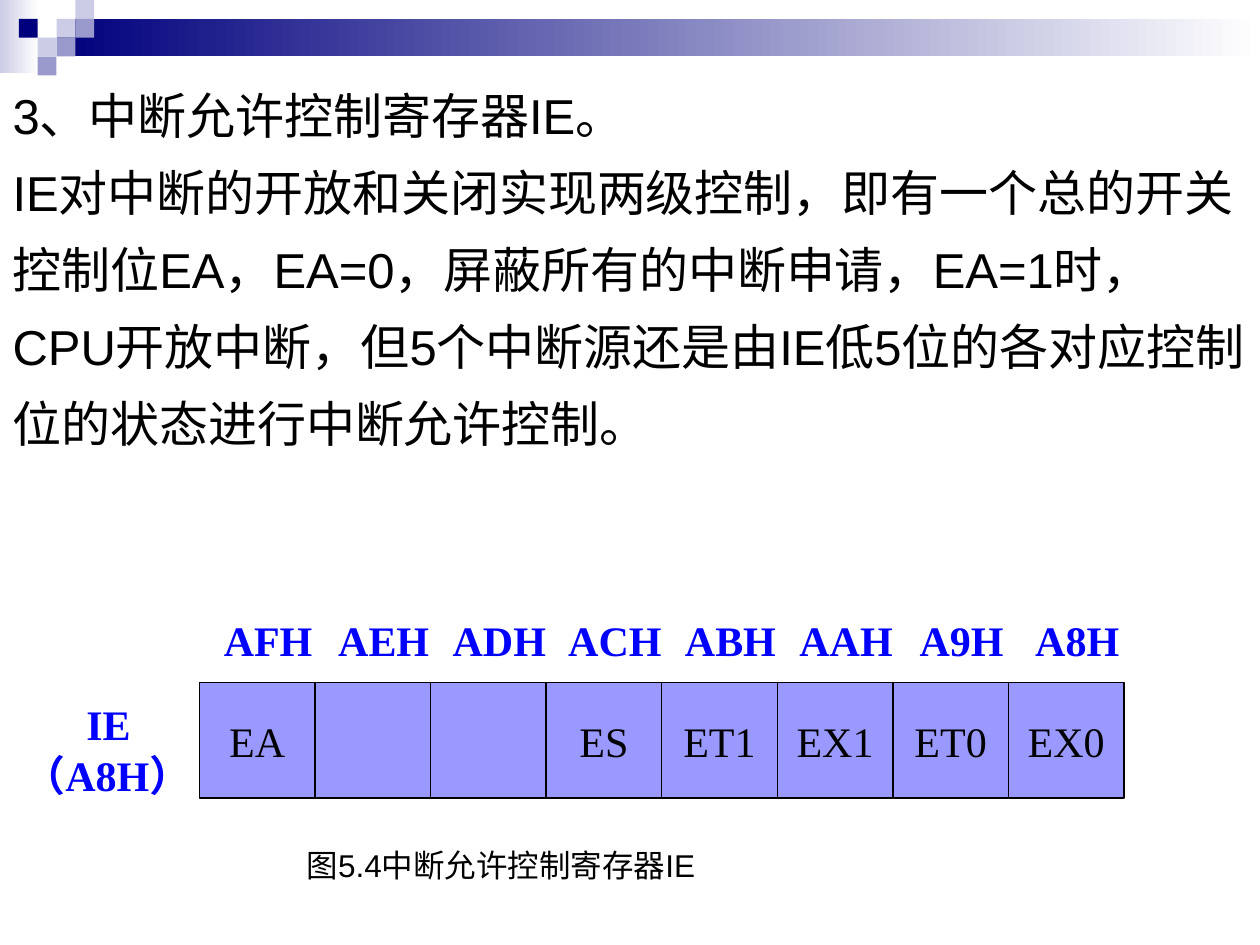
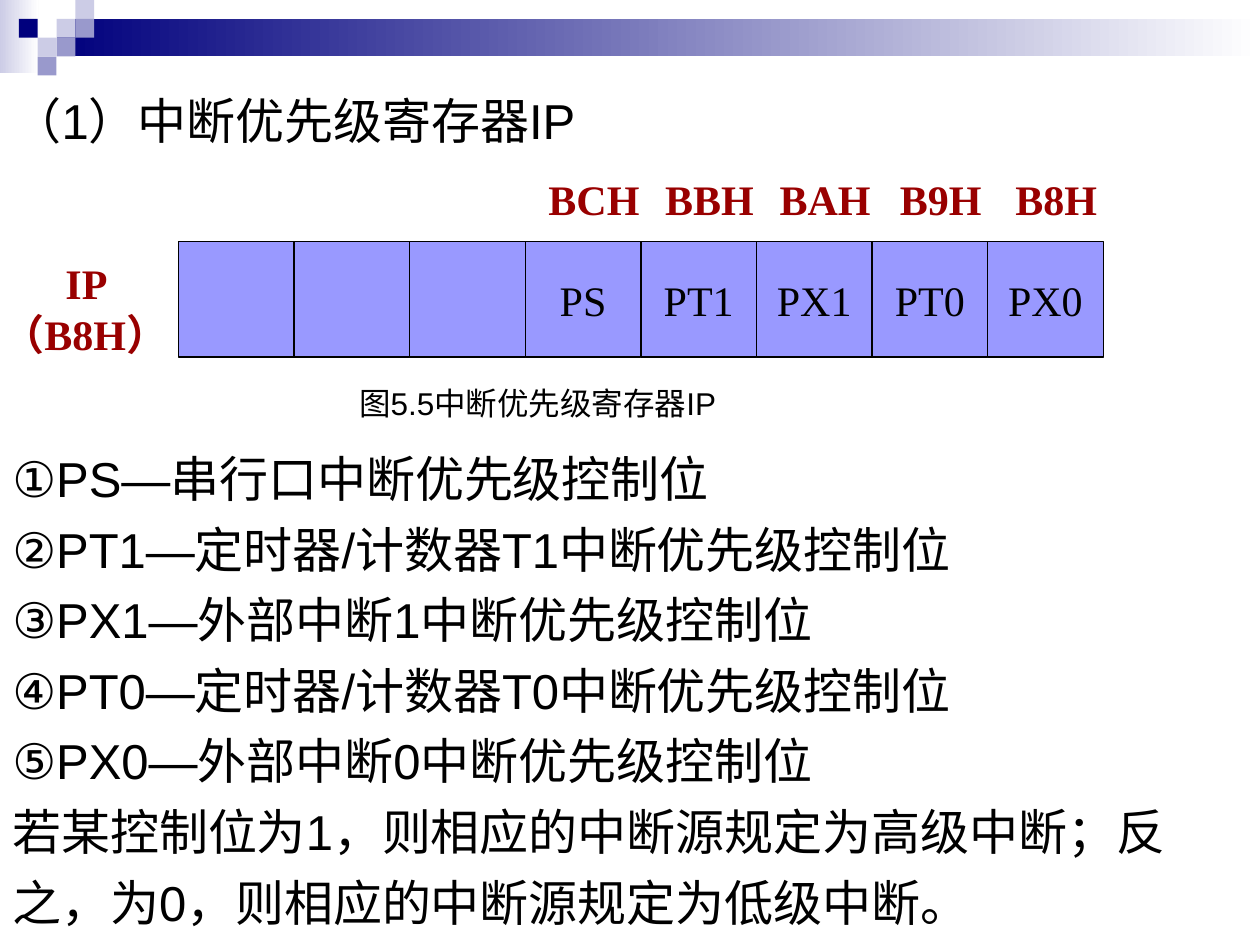
"""Build two slides on the interrupt registers IE and IP."""
from dataclasses import dataclass

from lxml import etree
from pptx import Presentation
from pptx.dml.color import RGBColor
from pptx.enum import shapes, text
from pptx.oxml import ns
from pptx.util import Cm, Pt


@dataclass(frozen=True)
class Theme:
    """Colours, fonts and type sizes shared by the slides."""

    navy: str = "00007D"
    lilac: str = "9999CC"
    pale: str = "CCCCE6"
    white: str = "FFFFFF"
    black: str = "000000"
    cell: str = "9999FF"
    blue: str = "0000FF"
    red: str = "990000"
    sans: str = "Arial"
    serif: str = "Times New Roman"
    body: int = 28
    label: int = 24
    caption: int = 18


T = Theme()
CELL = 2.33
TILE = 0.38
TILES = [(3, 1, T.pale), (4, 0, T.pale), (4, 1, T.lilac), (2, 2, T.pale),
         (1, 1, T.navy), (3, 2, T.lilac), (2, 3, T.lilac)]


def rgb(color):
    """Turn a hex string into a colour."""
    return RGBColor.from_string(color)


def write(tf, lines, size=T.body, font=T.sans, color=T.black, bold=False,
          align=None, spacing=None, before=None):
    """Fill a text frame with one paragraph per line, without hanging punctuation."""
    for i, line in enumerate(lines):
        p = tf.add_paragraph() if i else tf.paragraphs[0]
        p._p.get_or_add_pPr().set("hangingPunct", "0")
        p.alignment = align
        if spacing:
            p.line_spacing = spacing
        if before is not None:
            p.space_before = Pt(before)
        r = p.add_run()
        r.text = line
        r.font.size, r.font.name, r.font.bold = Pt(size), font, bold
        r.font.color.rgb = rgb(color)
    return tf


def add_rect(slide, x, y, w, h, color, fade=None, line=None):
    """Add a rectangle, plain or fading to a second colour on the right."""
    sp = slide.shapes.add_shape(shapes.MSO_SHAPE.RECTANGLE, Cm(x), Cm(y), Cm(w), Cm(h))
    sp.shadow.inherit = False
    if fade:
        sp.fill.gradient()
        sp.fill.gradient_angle = 0
        for stop, shade in zip(sp.fill.gradient_stops, (color, fade)):
            stop.color.rgb = rgb(shade)
    else:
        sp.fill.solid()
        sp.fill.fore_color.rgb = rgb(color)
    if line:
        sp.line.color.rgb = rgb(line)
        sp.line.width = Pt(0.75)
    else:
        sp.line.fill.background()
    return sp


def add_text(slide, x, y, w, h, lines, **fmt):
    """Add a wrapping text box and return its text frame."""
    tf = slide.shapes.add_textbox(Cm(x), Cm(y), Cm(w), Cm(h)).text_frame
    tf.word_wrap = True
    return write(tf, lines, **fmt)


def add_master_band(prs, slide):
    """Draw the top band and mosaic, then move them to the slide master."""
    band = [add_rect(slide, 0, 0, 0.78, 1.47, T.pale, fade=T.white),
            add_rect(slide, 1.14, TILE, 24.26, 2 * TILE, T.navy, fade=T.white)]
    band += [add_rect(slide, col * TILE, row * TILE, TILE, TILE, color)
             for col, row, color in TILES]
    tree = prs.slide_master.element.cSld.spTree
    for i, sp in enumerate(band):
        sp.element.nvSpPr.cNvPr.set("id", str(100 + i))
        tree.insert(2 + i, sp.element)


def add_slide(prs):
    """Add a slide that keeps only the body placeholder."""
    slide = prs.slides.add_slide(prs.slide_layouts[1])
    title = slide.shapes.title.element
    title.getparent().remove(title)
    return slide


def add_body(slide, y, h, lines, **fmt):
    """Place the body placeholder and fill it with unbulleted hanging lines."""
    sp = slide.placeholders[1]
    sp.left, sp.top, sp.width, sp.height = Cm(0), Cm(y), Cm(25.4), Cm(h)
    tf = write(sp.text_frame, lines, before=7, **fmt)
    tf.auto_size = text.MSO_AUTO_SIZE.NONE
    for p in tf.paragraphs:
        ppr = p._p.get_or_add_pPr()
        ppr.set("marL", str(Cm(0.95)))
        ppr.set("indent", str(-Cm(0.95)))
        etree.SubElement(ppr, ns.qn("a:buNone"))


def add_register(slide, x, y, name, address, bits, color):
    """Draw a register: a row of bit cells, bit addresses above, name at left."""
    fmt = dict(size=T.label, font=T.serif)
    for i, (bit, _) in enumerate(bits):
        sp = add_rect(slide, x + i * CELL, y, CELL, CELL, T.cell, line=T.black)
        if bit:
            sp.text_frame.word_wrap = False
            sp.text_frame.vertical_anchor = text.MSO_ANCHOR.MIDDLE
            write(sp.text_frame, [bit], align=text.PP_ALIGN.CENTER, **fmt)

    tf = add_text(slide, x - 3.8, y + 0.2, 4.8, 2.29, [name, f"（{address}）"],
                  color=color, bold=True, **fmt)
    tf.paragraphs[0]._p.get_or_add_pPr().set("marL", str(Cm(1.27)))

    named = [(i, label) for i, (_, label) in enumerate(bits) if label]
    tf = add_text(slide, x + 0.22, y - 1.5, 8 * CELL + 0.4, 1.27,
                  ["".join(f"\t{label}" for _, label in named)],
                  color=color, bold=True, **fmt)
    tabs = etree.SubElement(tf.paragraphs[0]._p.get_or_add_pPr(), ns.qn("a:tabLst"))
    for i, _ in named:
        etree.SubElement(tabs, ns.qn("a:tab"), algn="ctr",
                         pos=str(Cm((i + 0.5) * CELL - 0.25)))


def add_caption(slide, x, y, w, caption):
    """Add a figure caption."""
    add_text(slide, x, y, w, 1.02, [caption], size=T.caption)


def main():
    """Build and save the presentation."""
    prs = Presentation()
    prs.slide_width, prs.slide_height = Cm(25.4), Cm(19.05)

    enable = add_slide(prs)
    add_master_band(prs, enable)
    add_body(enable, 1.48, 9.32, [
        "3、中断允许控制寄存器IE。",
        "IE对中断的开放和关闭实现两级控制，即有一个总的开关",
        "控制位EA，EA=0，屏蔽所有的中断申请，EA=1时，",
        "CPU开放中断，但5个中断源还是由IE低5位的各对应控制",
        "位的状态进行中断允许控制。",
    ], spacing=1.1)
    add_register(enable, 4.02, 13.76, "IE", "A8H", [
        ("EA", "AFH"), ("", "AEH"), ("", "ADH"), ("ES", "ACH"),
        ("ET1", "ABH"), ("EX1", "AAH"), ("ET0", "A9H"), ("EX0", "A8H"),
    ], T.blue)
    add_caption(enable, 5.93, 16.93, 15.88, "图5.4中断允许控制寄存器IE")

    priority = add_slide(prs)
    add_body(priority, 1.7, 17.35, ["（1）中断优先级寄存器IP"])
    add_register(priority, 3.6, 4.87, "IP", "B8H", [
        ("", ""), ("", ""), ("", ""), ("PS", "BCH"),
        ("PT1", "BBH"), ("PX1", "BAH"), ("PT0", "B9H"), ("PX0", "B8H"),
    ], T.red)
    add_text(priority, 0, 8.68, 25.4, 10.21, [
        "①PS—串行口中断优先级控制位",
        "②PT1—定时器/计数器T1中断优先级控制位",
        "③PX1—外部中断1中断优先级控制位",
        "④PT0—定时器/计数器T0中断优先级控制位",
        "⑤PX0—外部中断0中断优先级控制位",
        "若某控制位为1，则相应的中断源规定为高级中断；反之，为0，则相应的中断源规定为低级中断。",
    ], spacing=1.2)
    add_caption(priority, 6.99, 7.62, 13.34, "图5.5中断优先级寄存器IP")

    prs.save("out.pptx")


if __name__ == "__main__":
    main()
